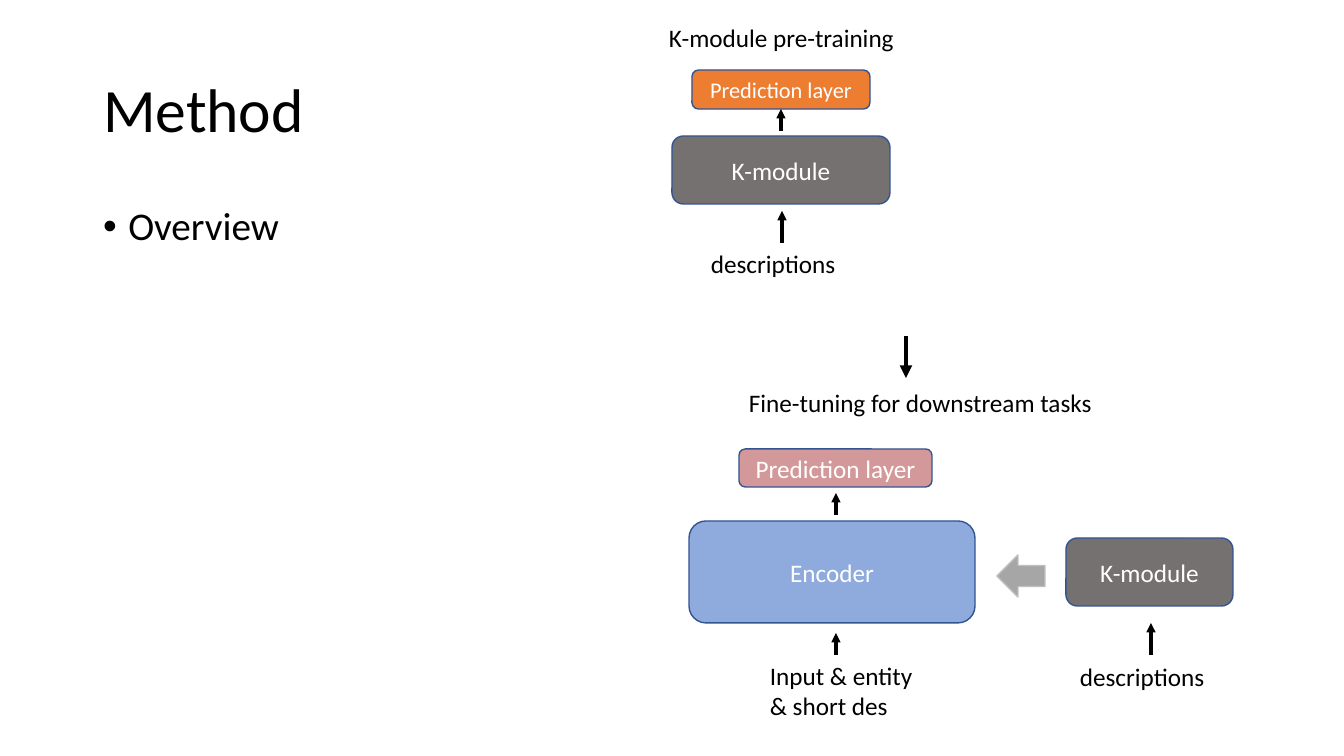
from lxml import etree
from pptx import Presentation
from pptx import util as u
from pptx.dml.color import RGBColor
from pptx.enum import shapes, text
from pptx.oxml.ns import qn

PX = 914400 / 100.8
COLORS = {
    "ink": "000000", "white": "FFFFFF", "outline": "325491",
    "encoder": "8FAADC", "module": "767171", "pretrain_head": "ED7D31",
    "tuned_head": "D3999A", "inject": "A6A6A6", "inject_line": "BFBFBF",
}


def px(*lengths):
    return [u.Emu(round(n * PX)) for n in lengths]


def rgb(name):
    return RGBColor.from_string(COLORS[name])


def apply(target, formats):
    for name, value in formats.items():
        setattr(target, name, value)


def write(frame, words, size, color="ink", frame_formats=None, paragraph_formats=None):
    apply(frame, {"word_wrap": True, **(frame_formats or {})})
    paragraph = frame.paragraphs[0]
    apply(paragraph, paragraph_formats or {})
    run = paragraph.add_run()
    run.text = words
    apply(run.font, {"name": "Calibri", "size": u.Pt(size)})
    run.font.color.rgb = rgb(color)
    return paragraph


def label(parts, words, box, wrap=True):
    frame = parts.add_textbox(*px(*box)).text_frame
    write(frame, words, 18, frame_formats={
        "word_wrap": wrap, "auto_size": text.MSO_AUTO_SIZE.SHAPE_TO_FIT_TEXT})


def block(parts, kind, box, fill, line="outline"):
    shape = parts.add_shape(kind, *px(*box))
    shape.shadow.inherit = False
    shape.fill.solid()
    shape.fill.fore_color.rgb = rgb(fill)
    shape.line.color.rgb = rgb(line)
    shape.line.width = u.Pt(1)
    return shape


def layer(parts, words, box, fill, size=18):
    shape = block(parts, shapes.MSO_SHAPE.ROUNDED_RECTANGLE, box, fill)
    write(shape.text_frame, words, size, "white",
          {"vertical_anchor": text.MSO_ANCHOR.MIDDLE},
          {"alignment": text.PP_ALIGN.CENTER})


def arrow(parts, x, start, end, width=2.25):
    connector = parts.add_connector(
        shapes.MSO_CONNECTOR.STRAIGHT, *px(x, start, x, end))
    connector.line.color.rgb = rgb("ink")
    connector.line.width = u.Pt(width)
    etree.SubElement(connector.line._get_or_add_ln(), qn("a:tailEnd"), type="triangle")
    etree.SubElement(connector._element.spPr, qn("a:effectLst"))


def outline_text(slide, left, width):
    title, body = slide.placeholders
    formats = {
        "auto_size": text.MSO_AUTO_SIZE.NONE,
        "vertical_anchor": text.MSO_ANCHOR.MIDDLE,
    }
    spacing = {"alignment": text.PP_ALIGN.LEFT, "line_spacing": 0.9}

    # Title
    apply(title, dict(zip(("left", "top", "width", "height"), px(left, 40, width, 146))))
    write(title.text_frame, "Method", 44, "ink", formats, spacing)

    # Bulleted body
    apply(body, dict(zip(("left", "top", "width", "height"), px(left, 202, width, 480))))
    overview = write(body.text_frame, "Overview", 28, "ink",
                     {**formats, "vertical_anchor": text.MSO_ANCHOR.TOP},
                     {**spacing, "space_before": u.Pt(10)})
    properties = overview._p.get_or_add_pPr()
    properties.set("marL", str(u.Inches(0.25)))
    properties.set("indent", str(-u.Inches(0.25)))
    etree.SubElement(properties, qn("a:buFont"), typeface="Arial")
    etree.SubElement(properties, qn("a:buChar"), char="•")


def pretraining(slide, left, top):
    label(slide.shapes, "K-module pre-training", (left, top, 248, 40), wrap=False)
    parts = slide.shapes.add_group_shape().shapes
    layer(parts, "K-module", (left + 13, top + 119, 218, 68), "module")
    layer(parts, "Prediction layer", (left + 33, top + 53, 178, 39), "pretrain_head", 16)
    label(parts, "descriptions", (left + 42, top + 226, 168, 34))
    middle = left + 122
    arrow(parts, middle, top + 114, top + 92)
    arrow(parts, middle + 1, top + 226, top + 194)


def fine_tuning(slide, left, top):
    label(slide.shapes, "Fine-tuning for downstream tasks",
          (left + 50, top, 367, 40), wrap=False)
    parts = slide.shapes.add_group_shape().shapes

    # Encoder with its input and prediction layer
    layer(parts, "Encoder", (left, top + 139, 286, 102), "encoder")
    layer(parts, "Prediction layer", (left + 50, top + 67, 193, 38), "tuned_head")
    label(parts, "Input & entity & short des", (left + 71, top + 273, 170, 60))
    for start, end in ((133, 111), (273, 251)):
        arrow(parts, left + 147, top + start, top + end)

    # K-module feeding the encoder
    layer(parts, "K-module", (left + 377, top + 156, 167, 68), "module")
    label(parts, "descriptions", (left + 381, top + 274, 170, 34))
    arrow(parts, left + 462, top + 273, top + 241)
    inject = block(parts, shapes.MSO_SHAPE.UP_ARROW,
                   (left + 311, top + 170, 42, 48), "inject", "inject_line")
    inject.rotation = 270


deck = Presentation()
deck.slide_width, deck.slide_height = px(1344, 756)
method = deck.slides.add_slide(deck.slide_layouts[1])
outline_text(method, 93, 1159)
fine_tuning(method, 689, 382)
pretraining(method, 659, 17)
arrow(method.shapes, 906, 336, 378, width=3)
deck.save("out.pptx")
